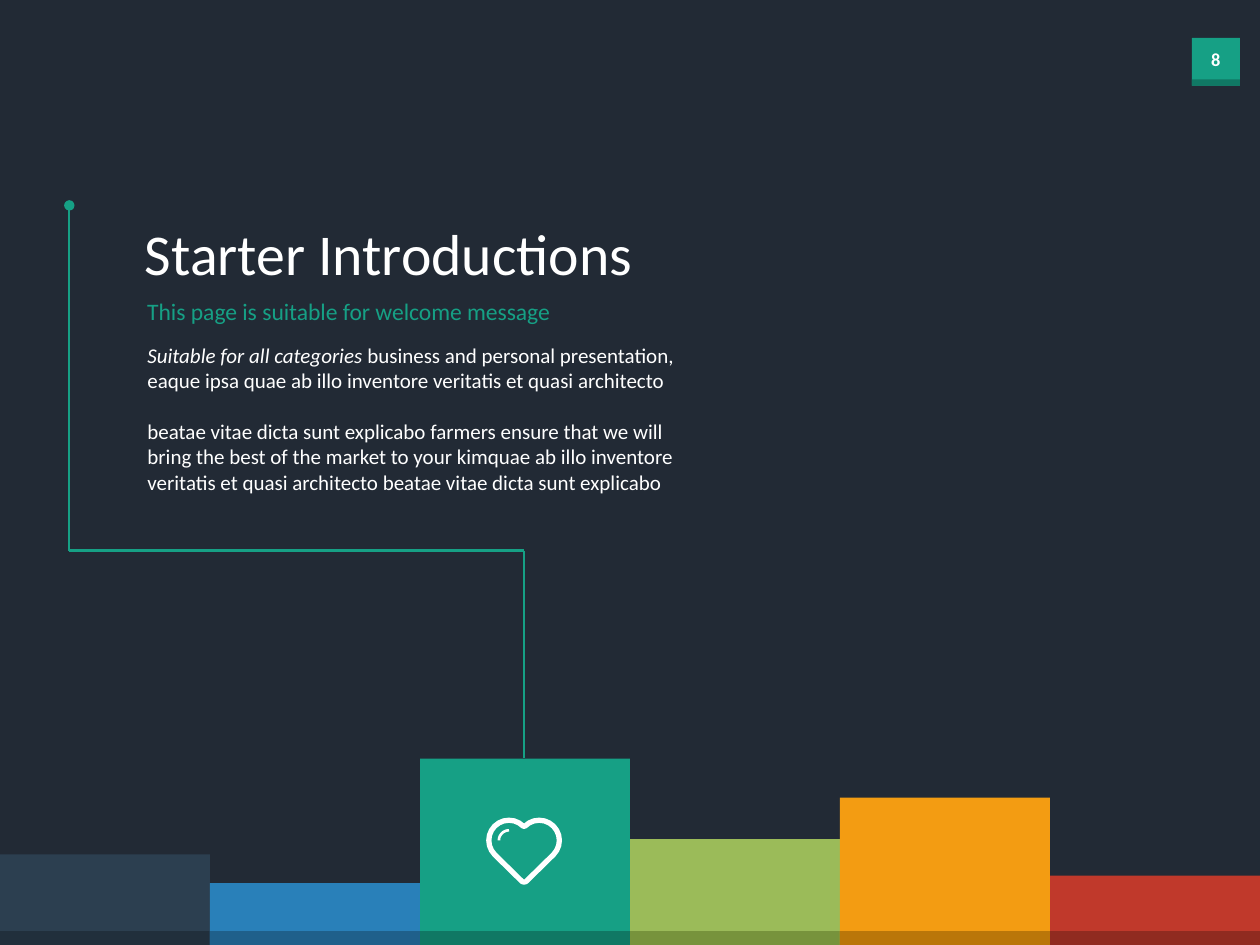
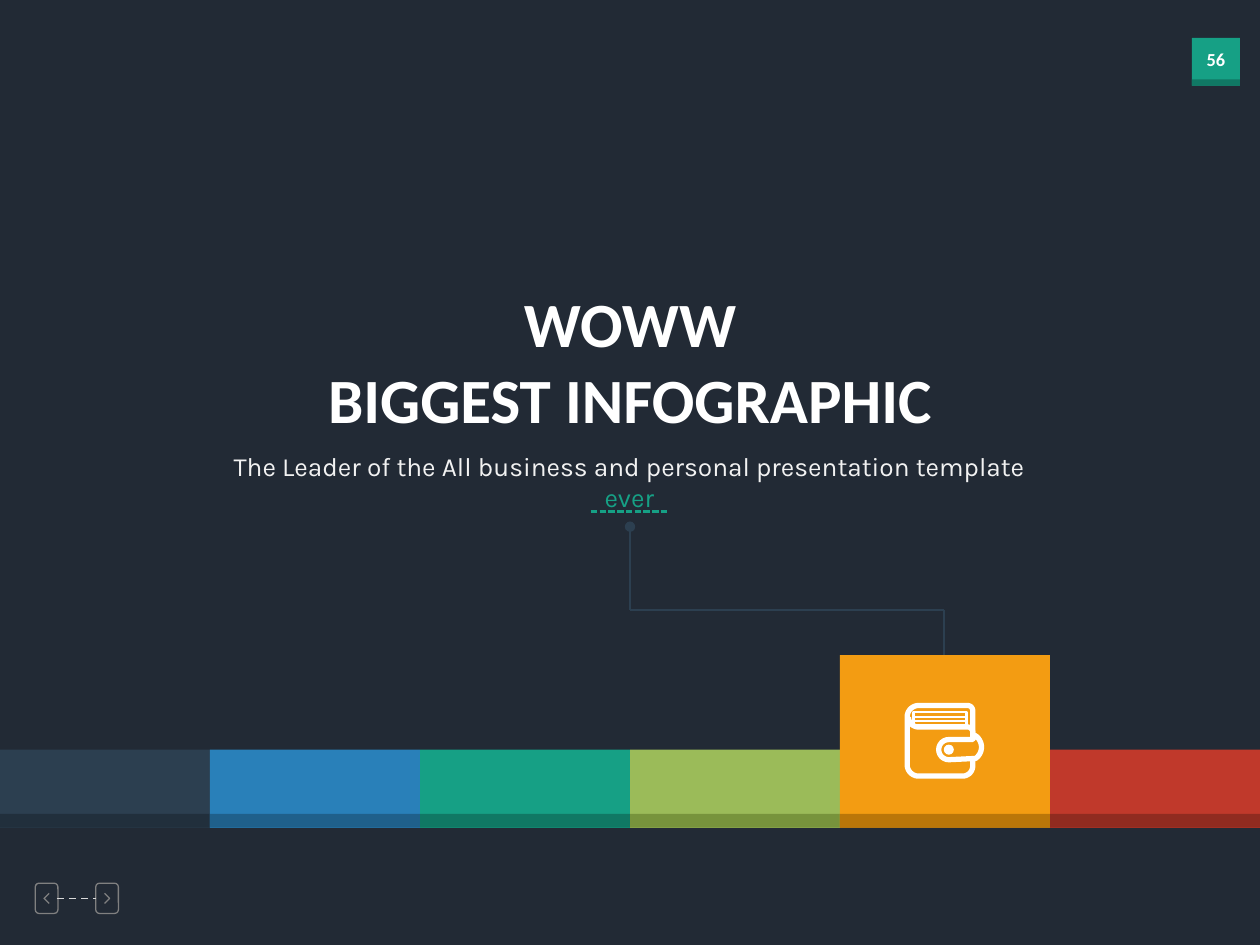
import math

import pptx
import pptx.dml.color
import pptx.enum.dml
import pptx.enum.shapes
import pptx.enum.text
import pptx.oxml.ns
import pptx.util
from lxml import etree

Inches = pptx.util.Inches
Shapes = pptx.enum.shapes.MSO_SHAPE
Dashes = pptx.enum.dml.MSO_LINE
Align = pptx.enum.text.PP_ALIGN
qn = pptx.oxml.ns.qn

NIGHT, WHITE, PALE, GREY, DASH_GREY = "222A35", "FFFFFF", "F2F2F2", "808080", "D9D9D9"
SLATE, TEAL, DARK_TEAL, ORANGE = "2C3F50", "16A085", "107864", "F39C12"
BAND = [
    (SLATE, "212F3C"),
    ("2980B9", "1F608B"),
    (TEAL, DARK_TEAL),
    ("9BBB59", "77933C"),
    (ORANGE, "BA7609"),
    ("C0392B", "902B20"),
]
PAGE_WIDTH, PAGE_HEIGHT = 10, 7.5
COLUMN = PAGE_WIDTH / len(BAND)
SHADE = 0.11


def paint(target, color):
    target.solid()
    target.fore_color.rgb = pptx.dml.color.RGBColor.from_string(color)


def place(shape, left, top, width, height):
    shape.left, shape.top = Inches(left), Inches(top)
    shape.width, shape.height = Inches(width), Inches(height)


def add_block(page, kind, left, top, width, height, color):
    block = page.shapes.add_shape(
        kind, Inches(left), Inches(top), Inches(width), Inches(height))
    block.shadow.inherit = False
    paint(block.fill, color)
    block.line.fill.background()
    return block


def add_line(page, start, end, color, weight=1.25, dash=None, dot=False):
    line = page.shapes.add_connector(
        pptx.enum.shapes.MSO_CONNECTOR.STRAIGHT, *map(Inches, start + end))
    paint(line.line.fill, color)
    line.line.width = pptx.util.Pt(weight)
    if dash:
        line.line.dash_style = dash
    properties = line._element.spPr
    if dot:
        etree.SubElement(properties.find(qn("a:ln")), qn("a:headEnd"), type="oval")
    etree.SubElement(properties, qn("a:effectLst"))


def trace(page, left, top, points, color, weight, close=False):
    corners = [(Inches(left + x), Inches(top + y)) for x, y in points]
    builder = page.shapes.build_freeform(*corners[0])
    builder.add_line_segments(corners[1:], close=close)
    outline = builder.convert_to_shape()
    outline.shadow.inherit = False
    outline.fill.background()
    paint(outline.line.fill, color)
    outline.line.width = pptx.util.Pt(weight)


def arc(x, y, radius, start, end, steps=12):
    angles = [math.radians(start + (end - start) * i / steps) for i in range(steps + 1)]
    return [(x + radius * math.cos(a), y + radius * math.sin(a)) for a in angles]


def write(box, paragraphs, size, font="Calibri", align=Align.LEFT, bold=False,
          gap=0, wrap=True):
    frame = box.text_frame
    frame.word_wrap = wrap
    frame.auto_size = pptx.enum.text.MSO_AUTO_SIZE.NONE
    frame.vertical_anchor = pptx.enum.text.MSO_ANCHOR.TOP
    for index, spans in enumerate(paragraphs):
        para = frame.add_paragraph() if index else frame.paragraphs[0]
        properties = para._p.get_or_add_pPr()
        properties.set("marL", "0")
        properties.set("indent", "0")
        etree.SubElement(properties, qn("a:buNone"))
        para.alignment = align
        para.space_before = pptx.util.Pt(gap if index else 0)
        for text, color, italic in spans:
            span = para.add_run()
            span.text = text
            span.font.name = font
            span.font.size = pptx.util.Pt(size)
            span.font.bold = bold
            span.font.italic = italic
            paint(span.font.fill, color)


def add_text(page, left, top, width, height, paragraphs, size, **style):
    box = page.shapes.add_textbox(
        Inches(left), Inches(top), Inches(width), Inches(height))
    write(box, paragraphs, size, **style)


def add_badge(page, left, top, side, number):
    add_block(page, Shapes.RECTANGLE, left, top, side, side, TEAL)
    add_block(page, Shapes.RECTANGLE, left, top + side - 0.05, side, 0.05, DARK_TEAL)
    add_text(page, left, top + 0.03, side, 0.28, [[(number, WHITE, False)]], 10.5,
             align=Align.CENTER, bold=True, wrap=False)


def add_band(page, base, heights):
    for index, ((color, shade), height) in enumerate(zip(BAND, heights)):
        left = index * COLUMN
        add_block(page, Shapes.RECTANGLE, left, base - height, COLUMN, height, color)
        add_block(page, Shapes.RECTANGLE, left, base - SHADE, COLUMN, SHADE, shade)


def add_elbow(page, start, bend, end, color):
    first, second = (start[0], bend), (end[0], bend)
    add_line(page, first, second, color)
    add_line(page, second, end, color)
    add_line(page, start, first, color, dot=True)


def add_heart(page, left, top):
    middle, lobe = 0.31, 0.12
    outline = (arc(middle - lobe, 0.19, 0.16, 135, 315)
               + arc(middle + lobe, 0.19, 0.16, 225, 405)
               + arc(middle, 0.49, 0.03, 45, 135))
    trace(page, left, top, outline, WHITE, 3, close=True)
    trace(page, left, top, arc(0.19, 0.19, 0.08, 180, 270), WHITE, 1.5)


def add_wallet(page, left, top):
    body = ([(0.54, 0.29)] + arc(0.5, 0.06, 0.04, 0, -90) + arc(0.11, 0.11, 0.09, 270, 180)
            + arc(0.11, 0.49, 0.09, 180, 90) + arc(0.46, 0.5, 0.08, 90, 0) + [(0.54, 0.44)])
    cover = arc(0.11, 0.11, 0.08, 180, 90) + arc(0.5, 0.23, 0.04, 270, 360) + [(0.54, 0.29)]
    strap = [(0.54, 0.29)] + arc(0.35, 0.37, 0.08, 270, 90) + arc(0.5, 0.35, 0.11, 55, -60)
    trace(page, left, top, body, WHITE, 3)
    trace(page, left, top, cover, WHITE, 3)
    trace(page, left, top, strap, WHITE, 3, close=True)
    sheets = [(0.07, 0.07), (0.49, 0.07), (0.49, 0.18), (0.07, 0.18)]
    trace(page, left, top, sheets, WHITE, 1.5, close=True)
    for height in (0.11, 0.14):
        trace(page, left, top, [(0.07, height), (0.49, height)], WHITE, 1.25)
    add_block(page, Shapes.OVAL, left + 0.31, top + 0.33, 0.08, 0.08, WHITE)


def add_navigation(page, left, top):
    width, height, step = 0.18, 0.24, 0.48
    for offset, direction in ((0, -1), (step, 1)):
        button = add_block(page, Shapes.ROUNDED_RECTANGLE, left + offset, top,
                           width, height, NIGHT)
        button.fill.background()
        paint(button.line.fill, GREY)
        button.line.width = pptx.util.Pt(0.75)
        centre, reach = width / 2, 0.02 * direction
        chevron = [(centre - reach, 0.08), (centre + reach, 0.12), (centre - reach, 0.16)]
        trace(page, left + offset, top, chevron, GREY, 0.75)
    add_line(page, (left + width - 0.01, top + height / 2),
             (left + step, top + height / 2), DASH_GREY, 1, Dashes.DASH)


def start_page(deck, layout, number):
    page = deck.slides.add_slide(deck.slide_layouts[layout])
    add_badge(page, 9.46, 0.3, 0.38, number)
    return page


def add_introduction(deck):
    page = start_page(deck, 1, "8")
    left, top = 1.07, 1.68
    title, body = page.placeholders[0], page.placeholders[1]
    place(title, left - 0.02, top, 4.4, 0.66)
    write(title, [[("Starter Introductions", WHITE, False)]], 33)
    add_text(page, left, top + 0.63, 3.8, 0.33,
             [[("This page is suitable for welcome message", TEAL, False)]], 13.5)
    place(body, left, top + 0.99, 4.63, 1.31)
    write(body, [
        [("Suitable for all categories ", WHITE, True),
         ("business and personal presentation, eaque ipsa quae ab illo inventore "
          "veritatis et quasi architecto", WHITE, False)],
        [("beatae vitae dicta sunt explicabo farmers ensure that we will bring the best "
          "of the market to your kimquae ab illo inventore veritatis et quasi architecto "
          "beatae vitae dicta sunt explicabo", WHITE, False)],
    ], 12, gap=14.6)
    add_band(page, PAGE_HEIGHT, [0.72, 0.49, 1.48, 0.84, 1.17, 0.55])
    add_heart(page, 3.85, 6.48)
    add_elbow(page, (0.55, 1.63), 4.37, (4.16, 6.02), TEAL)


def add_closing(deck):
    page = start_page(deck, 0, "56")
    centre = PAGE_WIDTH / 2
    add_navigation(page, 0.28, 7.01)
    add_band(page, 6.57, [1.37 if color == ORANGE else 0.62 for color, _ in BAND])
    add_wallet(page, 7.18, 5.58)
    title, subtitle = page.placeholders[0], page.placeholders[1]
    place(title, centre - 2.6, 2.21, 5.2, 1.31)
    write(title, [[("WOWW", WHITE, False)], [("BIGGEST INFOGRAPHIC", WHITE, False)]],
          36, align=Align.CENTER, bold=True)
    place(subtitle, centre - 3.26, 3.52, 6.51, 0.6)
    write(subtitle, [[
        ("The Leader of the All business and personal presentation template ", PALE, False),
        ("ever", TEAL, False),
    ]], 15, font="Karla", align=Align.CENTER)
    add_line(page, (centre - 0.31, 4.06), (centre + 0.31, 4.06), TEAL,
             dash=Dashes.SQUARE_DOT)
    add_elbow(page, (centre, 4.18), 4.84, (7.49, 5.2), SLATE)


def main():
    deck = pptx.Presentation()
    deck.slide_width, deck.slide_height = Inches(PAGE_WIDTH), Inches(PAGE_HEIGHT)
    paint(deck.slide_master.background.fill, NIGHT)
    add_introduction(deck)
    add_closing(deck)
    deck.save("out.pptx")


if __name__ == "__main__":
    main()
